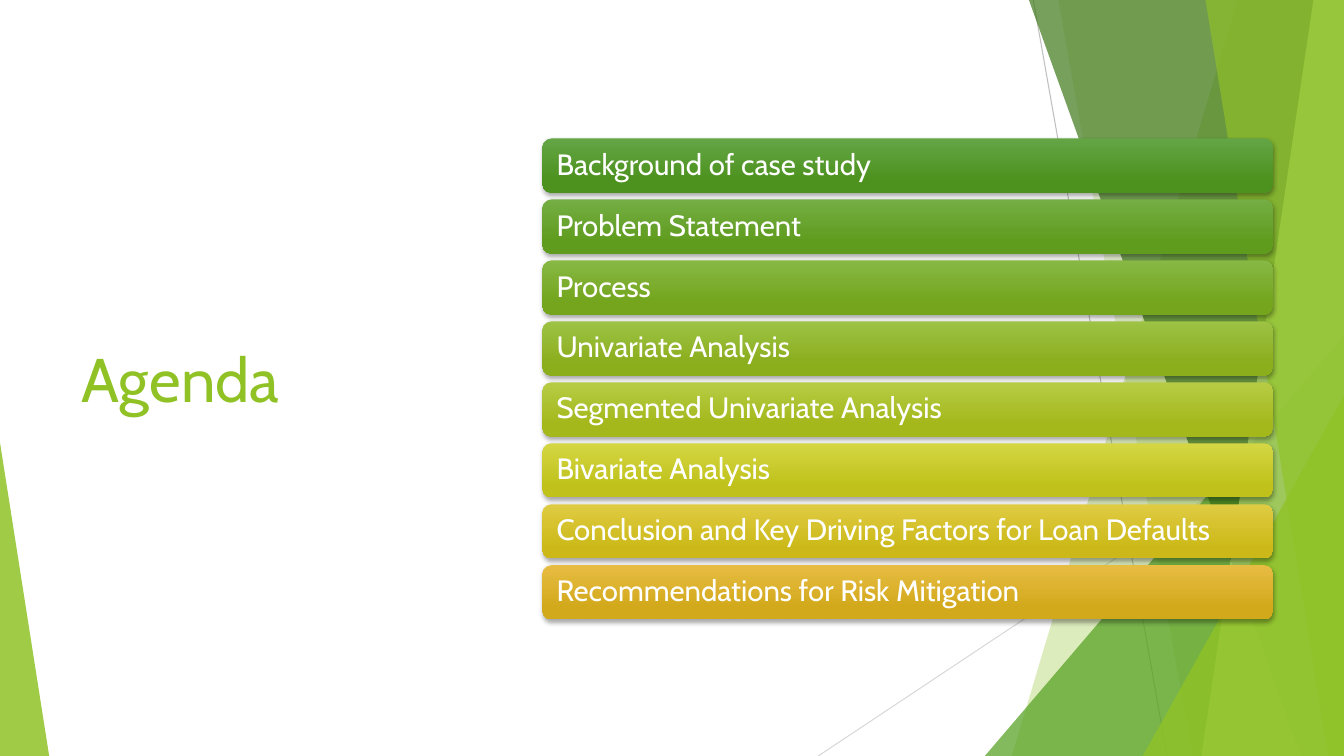
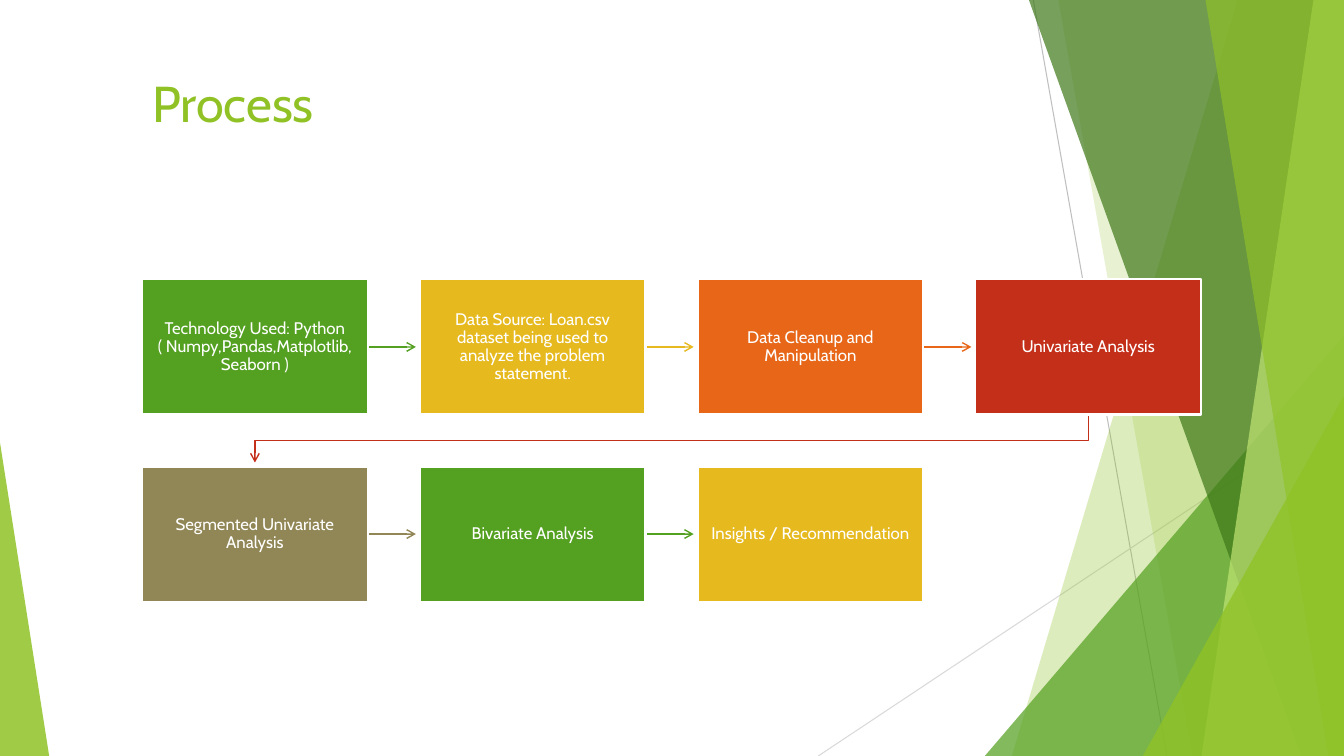
from lxml.etree import SubElement
from pptx import Presentation
from pptx.dml.color import RGBColor
from pptx.enum.shapes import MSO_CONNECTOR, MSO_SHAPE
from pptx.enum.text import MSO_ANCHOR, MSO_AUTO_SIZE, PP_ALIGN
from pptx.oxml.ns import qn
from pptx.util import Cm, Pt

W, H = 33.87, 19.05
FONT = "Cabin"
LIME, GREEN, GOLD, WHITE = "90C226", "54A021", "E6B91E", "FFFFFF"

RAYS = [
    ((26.04, 0), (29.41, H), "BFBFBF"),
    ((W, 10.24), (20.62, H), "D9D9D9"),
]
FACETS = [
    ("band", 31.19, 25.5, LIME, 30),
    ("band", 26.67, 30.05, LIME, 20),
    ("triangle", 24.82, 8.46, 9.05, 1, GREEN, 72),
    ("band", 25.93, 32.79, "3F7819", 70),
    ("band", 33.1, 30.28, "C0E474", 70),
    ("band", 30.38, 33.48, LIME, 65),
    ("triangle", 28.8, 9.98, 5.07, 1, LIME, 80),
    ("triangle", 0, 11.15, 1.24, 0, LIME, 85),
]
AGENDA = [
    ("Background of case study", "63A545", "4D921E"),
    ("Problem Statement", "74AE44", "5F9C1E"),
    ("Process", "87B844", "74A51D"),
    ("Univariate Analysis", "9DC244", "8BAE1D"),
    ("Segmented Univariate Analysis", "B7CC44", "A4B81C"),
    ("Bivariate Analysis", "D4D643", "C0C21B"),
    ("Conclusion and Key Driving Factors for Loan Defaults", "E0CC43", "CCB919"),
    ("Recommendations for Risk Mitigation", "E7BC43", "D2A91B"),
]
STEPS = [
    ("Technology Used: Python ( Numpy,Pandas,Matplotlib,Seaborn )", GREEN),
    ("Data Source: Loan.csv dataset being used to analyze the problem statement.", GOLD),
    ("Data Cleanup and Manipulation", "E76618"),
    ("Univariate Analysis", "C42F1A"),
    ("Segmented Univariate Analysis", "918655"),
    ("Bivariate Analysis", GREEN),
    ("Insights / Recommendation", GOLD),
]


def rgb(value):
    """Turn a hex string into a colour."""
    return RGBColor.from_string(value)


def apply(obj, formats):
    """Set attributes from a dict of format values."""
    for name, value in formats.items():
        setattr(obj, name, value)


def write(sp, text, size, color, frame, para):
    """Put one formatted paragraph into a shape."""
    tf = sp.text_frame
    apply(tf, {"word_wrap": True, "auto_size": MSO_AUTO_SIZE.NONE, **frame})
    p = tf.paragraphs[0]
    apply(p, para)
    r = p.add_run()
    r.text = text
    apply(r.font, {"name": FONT, "size": Pt(size)})
    r.font.color.rgb = rgb(color)


def style_line(sp, color, width, arrow=False):
    """Give a line its colour, width and arrowhead, without a shadow."""
    sp.line.color.rgb = rgb(color)
    sp.line.width = Pt(width)
    if arrow:
        SubElement(sp.element.find(".//" + qn("a:ln")), qn("a:tailEnd"), type="arrow")
    SubElement(sp.element.find(qn("p:spPr")), qn("a:effectLst"))


def add_line(s, start, end, color, width, arrow=False):
    """Draw a straight line between two points."""
    points = [Cm(v) for v in (*start, *end)]
    sp = s.shapes.add_connector(MSO_CONNECTOR.STRAIGHT, *points)
    style_line(sp, color, width, arrow)
    return sp


def add_path(s, points, close):
    """Draw an outline through the points."""
    points = [(Cm(x), Cm(y)) for x, y in points]
    fb = s.shapes.build_freeform(*points[0])
    fb.add_line_segments(points[1:], close=close)
    return fb.convert_to_shape()


def add_box(s, kind, x, y, w, h):
    """Add a preset shape without a shadow."""
    sp = s.shapes.add_shape(kind, Cm(x), Cm(y), Cm(w), Cm(h))
    sp.shadow.inherit = False
    return sp


def add_band(s, top_x, bottom_x):
    """Add a full-height band that reaches the right edge."""
    sp = add_path(s, [(top_x, 0), (W, 0), (W, H), (bottom_x, H)], True)
    sp.shadow.inherit = False
    return sp


def add_triangle(s, x, y, w, peak):
    """Add a triangle that stands on the bottom edge."""
    sp = add_box(s, MSO_SHAPE.ISOSCELES_TRIANGLE, x, y, w, H - y)
    sp.adjustments[0] = peak
    return sp


def add_backdrop(s, layout):
    """Draw the facets and move them to the layout."""
    parts = [add_line(s, *ray, 0.75) for ray in RAYS]
    for kind, *place, color, alpha in FACETS:
        sp = (add_band if kind == "band" else add_triangle)(s, *place)
        sp.fill.solid()
        sp.fill.fore_color.rgb = rgb(color)
        sp.line.fill.background()
        clr = sp.element.find(".//" + qn("a:srgbClr"))
        SubElement(clr, qn("a:alpha"), val=str(alpha * 1000))
        parts.append(sp)
    for i, sp in enumerate(parts):
        sp.element.find(".//" + qn("p:cNvPr")).set("id", str(100 + i))
        layout.shapes.element.insert(2 + i, sp.element)


def add_title(s, text, box, size, anchor):
    """Place and format the title placeholder."""
    sp = s.shapes.title
    apply(sp, dict(zip(("left", "top", "width", "height"), map(Cm, box))))
    write(sp, text, size, LIME, {"vertical_anchor": anchor}, {"alignment": PP_ALIGN.LEFT})


def add_agenda(s, items, x, y, w, h, gap=0.17):
    """Stack one shaded bar per item in the box."""
    bar_h = (h - gap * (len(items) - 1)) / len(items)
    frame = {"vertical_anchor": MSO_ANCHOR.MIDDLE, "margin_left": Cm(0.29),
             "margin_top": 0, "margin_bottom": 0}
    para = {"alignment": PP_ALIGN.LEFT, "line_spacing": 0.9}
    for i, (text, light, dark) in enumerate(items):
        sp = add_box(s, MSO_SHAPE.ROUNDED_RECTANGLE, x, y + i * (bar_h + gap), w, bar_h)
        sp.fill.gradient()
        sp.fill.gradient_angle = 270
        for stop, color, pos in zip(sp.fill.gradient_stops, (light, dark), (0, 0.78)):
            stop.color.rgb = rgb(color)
            stop.position = pos
        sp.line.fill.background()
        shadow = SubElement(sp.element.find(".//" + qn("a:effectLst")), qn("a:outerShdw"),
                            blurRad=str(Pt(3)), dist=str(Pt(2)), dir="5400000", rotWithShape="0")
        clr = SubElement(shadow, qn("a:srgbClr"), val="000000")
        SubElement(clr, qn("a:alpha"), val="35000")
        write(sp, text, 21, WHITE, frame, para)


def add_process(s, steps, x, y, w, h, cols=4, gap=1.31):
    """Lay the steps out in rows and join them with arrows."""
    rows = -(-len(steps) // cols)
    box_w = (w - gap * (cols - 1)) / cols
    box_h = (h - gap * (rows - 1)) / rows
    reach = gap - 0.1
    frame = {"vertical_anchor": MSO_ANCHOR.MIDDLE, "margin_left": Cm(0.28),
             "margin_right": Cm(0.28), "margin_top": Cm(0.3), "margin_bottom": Cm(0.3)}
    para = {"alignment": PP_ALIGN.CENTER, "line_spacing": 0.9}
    for i, (text, color) in enumerate(steps):
        row, col = divmod(i, cols)
        left, top = x + col * (box_w + gap), y + row * (box_h + gap)
        right, bottom, middle = left + box_w, top + box_h, top + box_h / 2
        if i < len(steps) - 1 and col < cols - 1:
            add_line(s, (right, middle), (right + reach, middle), color, 1, True)
        elif i < len(steps) - 1:
            start, end, turn = left + box_w / 2, x + box_w / 2, bottom + gap / 2
            sp = add_path(s, [(start, bottom), (start, turn), (end, turn),
                              (end, bottom + reach)], False)
            sp.fill.background()
            style_line(sp, color, 1, True)
        sp = add_box(s, MSO_SHAPE.RECTANGLE, left, top, box_w, box_h)
        sp.fill.solid()
        sp.fill.fore_color.rgb = rgb(color)
        sp.line.color.rgb = rgb(WHITE)
        sp.line.width = Pt(1.5)
        write(sp, text, 12, WHITE, frame, para)


def main():
    """Build both slides and save them."""
    prs = Presentation()
    prs.slide_width, prs.slide_height = Cm(W), Cm(H)
    layout = prs.slide_layouts.get_by_name("Title Only")

    s = prs.slides.add_slide(layout)
    add_backdrop(s, layout)
    add_title(s, "Agenda", (1.8, 3.84, 9.86, 11.38), 44, MSO_ANCHOR.MIDDLE)
    add_agenda(s, AGENDA, 13.67, 3.49, 18.42, 12.12)

    s = prs.slides.add_slide(layout)
    add_title(s, "Process", (3.58, 1.7, 28.32, 3.05), 36, MSO_ANCHOR.TOP)
    add_process(s, STEPS, 3.58, 7.04, 26.69, 8.12)

    prs.save("out.pptx")


if __name__ == "__main__":
    main()
